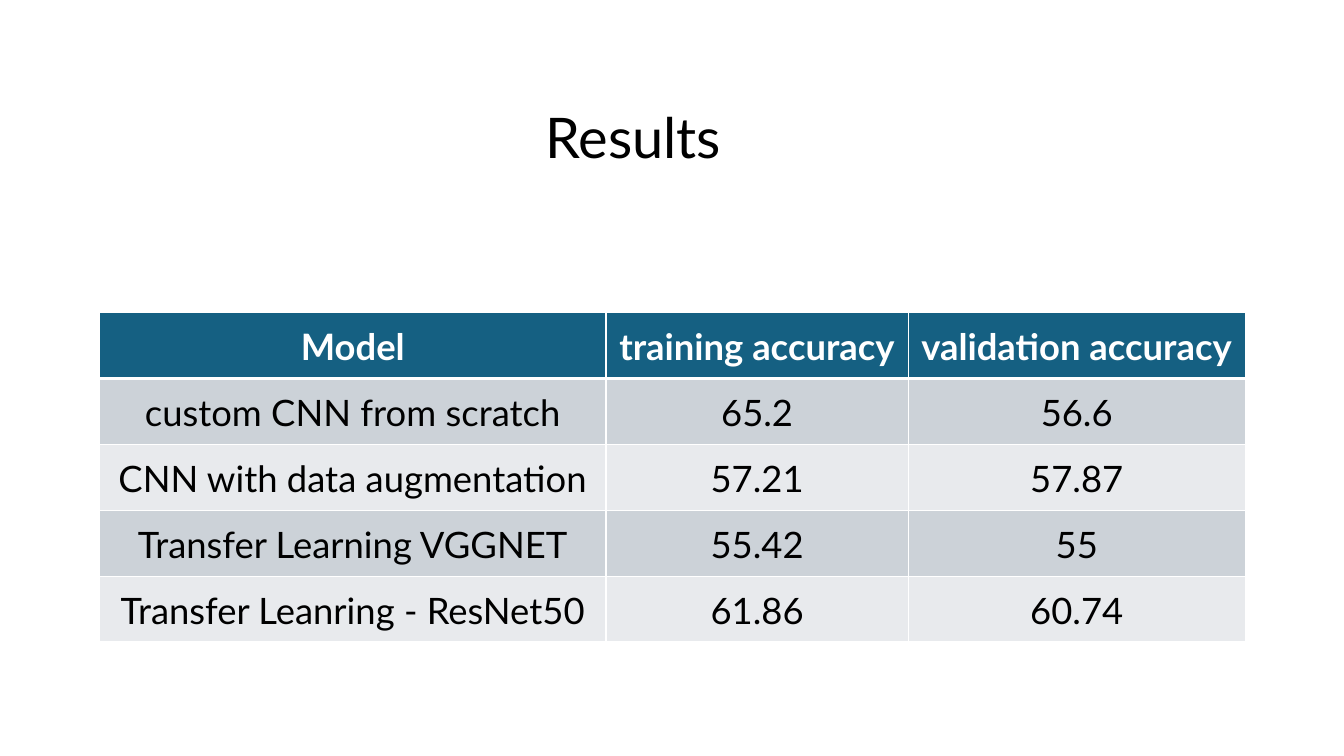
from lxml.etree import SubElement
from pptx import Presentation
from pptx.dml.color import RGBColor
from pptx.enum.shapes import MSO_SHAPE
from pptx.enum.text import MSO_ANCHOR, PP_ALIGN
from pptx.oxml.ns import qn
from pptx.util import Emu, Pt

FONT = "Lato"
WHITE, BLACK, TEAL = "FFFFFF", "000000", "156082"
BANDS = ["CCD2D8", "E8EAED"]
ROWS = [
    ["Model", "training accuracy", "validation accuracy"],
    ["custom CNN from scratch", "65.2", "56.6"],
    ["CNN with data augmentation", "57.21", "57.87"],
    ["Transfer Learning VGGNET", "55.42", "55"],
    ["Transfer Leanring - ResNet50", "61.86", "60.74"],
]
COLUMN_WIDTHS = [502, 300, 334]


def px(n):
    """100 px to the inch."""
    return Emu(n * 9144)


def rgb(value):
    return RGBColor.from_string(value)


def write(tf, text, size, color, bold=False):
    p = tf.paragraphs[0]
    p.alignment = PP_ALIGN.CENTER
    r = p.add_run()
    r.text = text
    r.font.name, r.font.size, r.font.bold = FONT, Pt(size), bold
    r.font.color.rgb = rgb(color)
    return p


def set_borders(cell, top, bottom):
    tcPr = cell._tc.get_or_add_tcPr()
    for side, width in (("L", 1), ("R", 1), ("T", top), ("B", bottom)):
        ln = SubElement(tcPr, qn(f"a:ln{side}"), w=str(Pt(width)))
        fill = SubElement(ln, qn("a:solidFill"))
        SubElement(fill, qn("a:srgbClr"), val=WHITE)


def add_header(s, x, y, w, h):
    # White band behind the title
    band = s.shapes.add_shape(MSO_SHAPE.RECTANGLE, px(x), px(y), px(w), px(h))
    band.shadow.inherit = False
    band.fill.solid()
    band.fill.fore_color.rgb = rgb(WHITE)
    band.line.fill.background()

    # Title
    title = s.shapes.add_textbox(px(x + 83), px(y + 51), px(w - 243), px(h - 101))
    tf = title.text_frame
    tf.word_wrap = True
    tf.vertical_anchor = MSO_ANCHOR.MIDDLE
    write(tf, "Results", 40, BLACK).line_spacing = 0.9


def add_results_table(s, x, y, w, h):
    frame = s.shapes.add_table(len(ROWS), len(COLUMN_WIDTHS), px(x), px(y), px(w), px(h))
    table = frame.table
    for column, width in zip(table.columns, COLUMN_WIDTHS):
        column.width = px(width)

    for i, texts in enumerate(ROWS):
        header = i == 0
        for j, text in enumerate(texts):
            cell = table.cell(i, j)
            cell.margin_left = cell.margin_right = cell.margin_top = px(2)
            cell.margin_bottom = 0
            cell.vertical_anchor = MSO_ANCHOR.MIDDLE
            # Heavier rule between the header and the body
            set_borders(cell, top=3 if i == 1 else 1, bottom=3 if header else 1)
            cell.fill.solid()
            cell.fill.fore_color.rgb = rgb(TEAL if header else BANDS[(i - 1) % 2])
            write(cell.text_frame, text, 26, WHITE if header else BLACK, header)


def main():
    prs = Presentation()
    prs.slide_width, prs.slide_height = px(1333), px(750)
    s = prs.slides.add_slide(prs.slide_layouts[6])
    add_header(s, 0, 0, 1333, 278)
    add_results_table(s, 99, 310, sum(COLUMN_WIDTHS), 327)
    prs.save("out.pptx")


if __name__ == "__main__":
    main()
